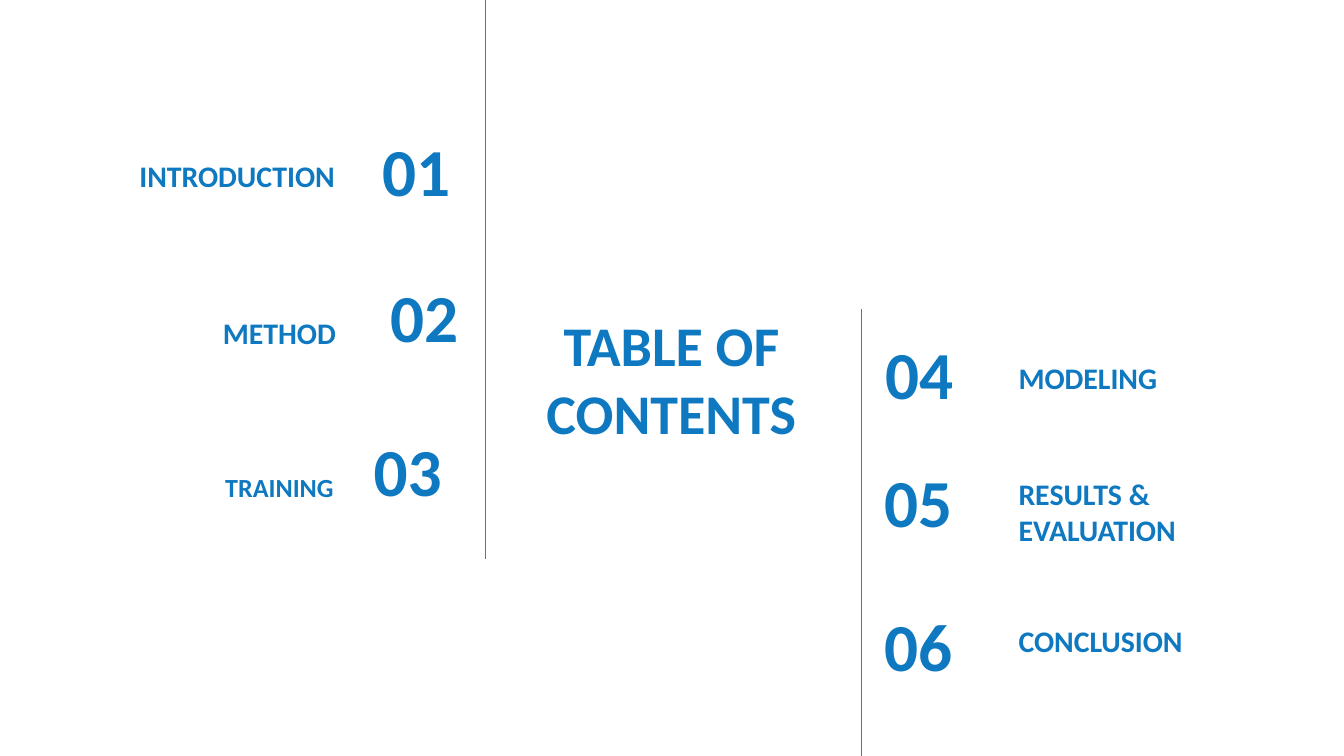
from lxml import etree
from pptx import Presentation
from pptx.dml.color import RGBColor
from pptx.enum.shapes import MSO_CONNECTOR
from pptx.enum.text import MSO_ANCHOR, PP_ALIGN
from pptx.oxml.ns import qn
from pptx.util import Cm, Pt

LEFT, CENTER, RIGHT = PP_ALIGN.LEFT, PP_ALIGN.CENTER, PP_ALIGN.RIGHT
MIDDLE, BOTTOM = MSO_ANCHOR.MIDDLE, MSO_ANCHOR.BOTTOM
STRAIGHT = MSO_CONNECTOR.STRAIGHT
TEXT_BLUE = RGBColor(0x0E, 0x78, 0xC0)
LINE_BLUE = RGBColor(0x00, 0x91, 0xEA)
SLIDE_WIDTH, SLIDE_HEIGHT = 25.4, 14.29
ROW_HEIGHT = 1.6

# (text, left, top, width, alignment, size)
HEADINGS = [
    ("INTRODUCTION", 2.26, 2.31, 4.32, RIGHT, 16),
    ("METHOD", 3.45, 5.28, 3.15, RIGHT, 16),
    ("TRAINING", 1.07, 8.15, 5.49, RIGHT, 14),
    ("MODELING", 19, 6.12, 3.43, LEFT, 16),
    ("RESULTS & EVALUATION", 19, 9, 4.37, LEFT, 16),
    ("CONCLUSION", 19, 11.1, 4.37, LEFT, 16),
]
NUMBERS = [
    (5.69, 2.41, 3.07, RIGHT),
    (5.84, 5.16, 3.07, RIGHT),
    (6.81, 8.08, 2.97, LEFT),
    (16.48, 6.25, 2.97, LEFT),
    (16.46, 8.66, 2.97, LEFT),
    (16.46, 11.38, 2.97, LEFT),
]


class ContentsSlide:
    """Hold the slide and the style shared by its text and lines."""

    font_name = "Calibri"
    inset = Cm(0.25)

    def __init__(self, slide):
        self.slide = slide

    def text(self, text, left, top, width, alignment, size, anchor, height=ROW_HEIGHT):
        shape = self.slide.shapes.add_textbox(Cm(left), Cm(top), Cm(width), Cm(height))
        frame = shape.text_frame
        frame.word_wrap = True
        frame.vertical_anchor = anchor
        frame.margin_left = frame.margin_right = self.inset
        frame.margin_top = frame.margin_bottom = self.inset
        paragraph = frame.paragraphs[0]
        paragraph.text = text
        paragraph.alignment = alignment
        paragraph.font.name = self.font_name
        paragraph.font.size = Pt(size)
        paragraph.font.bold = True
        paragraph.font.color.rgb = TEXT_BLUE

    def vertical_line(self, left, top, bottom):
        connector = self.slide.shapes.add_connector(
            STRAIGHT, Cm(left), Cm(top), Cm(left), Cm(bottom))
        connector.line.color.rgb = LINE_BLUE
        connector.line.width = Pt(0.75)
        etree.SubElement(connector._element.spPr, qn("a:effectLst"))


def main():
    presentation = Presentation()
    presentation.slide_width = Cm(SLIDE_WIDTH)
    presentation.slide_height = Cm(SLIDE_HEIGHT)
    contents = ContentsSlide(presentation.slides.add_slide(presentation.slide_layouts[6]))

    contents.text("TABLE OF CONTENTS", 9.4, 5.84, 6.58, CENTER, 30, MIDDLE, height=2.62)
    contents.vertical_line(9.17, 0, 10.57)
    contents.vertical_line(16.28, 5.84, SLIDE_HEIGHT)
    for heading in HEADINGS:
        contents.text(*heading, BOTTOM)
    for number, place in enumerate(NUMBERS, start=1):
        contents.text(f"{number:02d}", *place, 36, MIDDLE)

    presentation.save("out.pptx")


if __name__ == "__main__":
    main()
